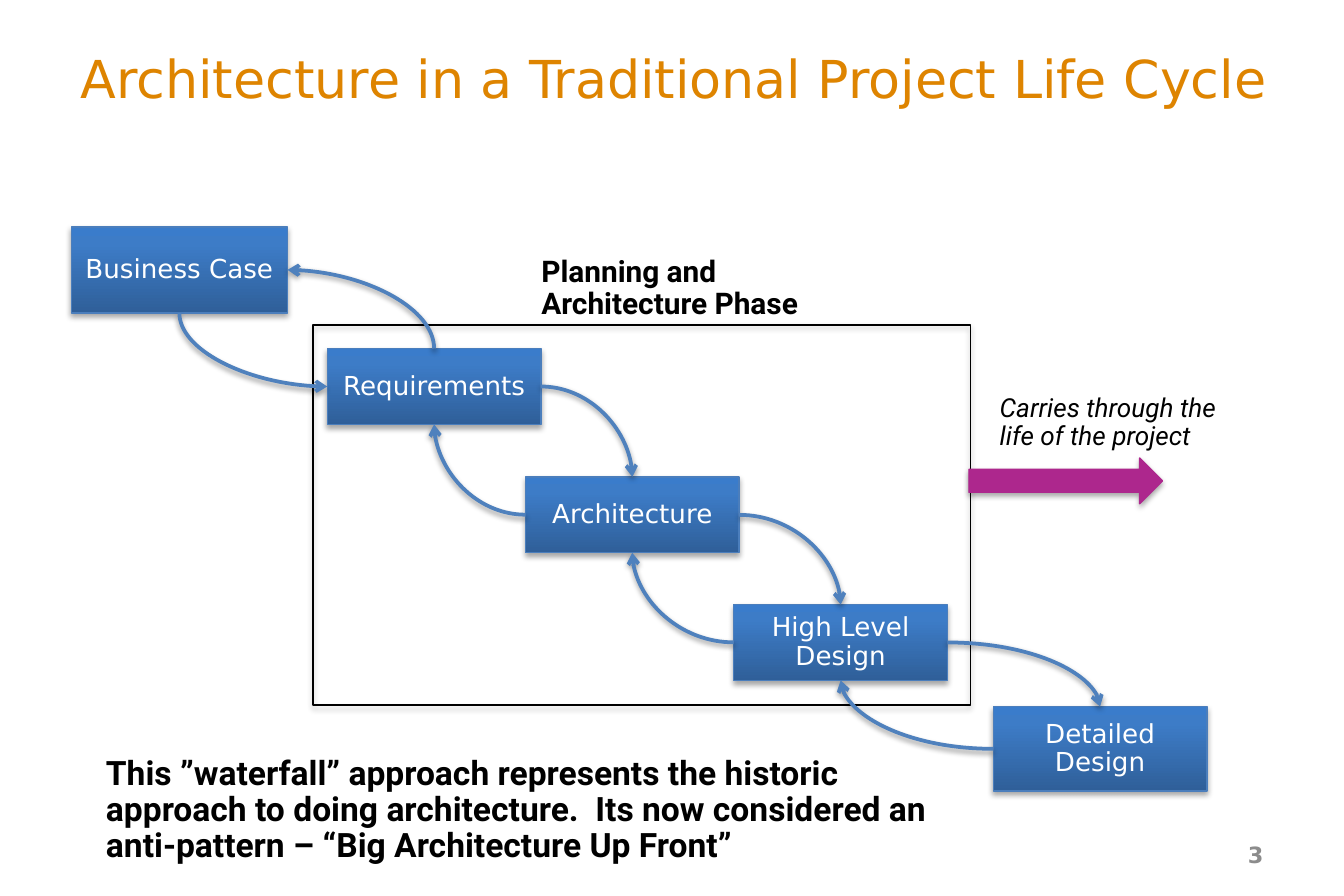
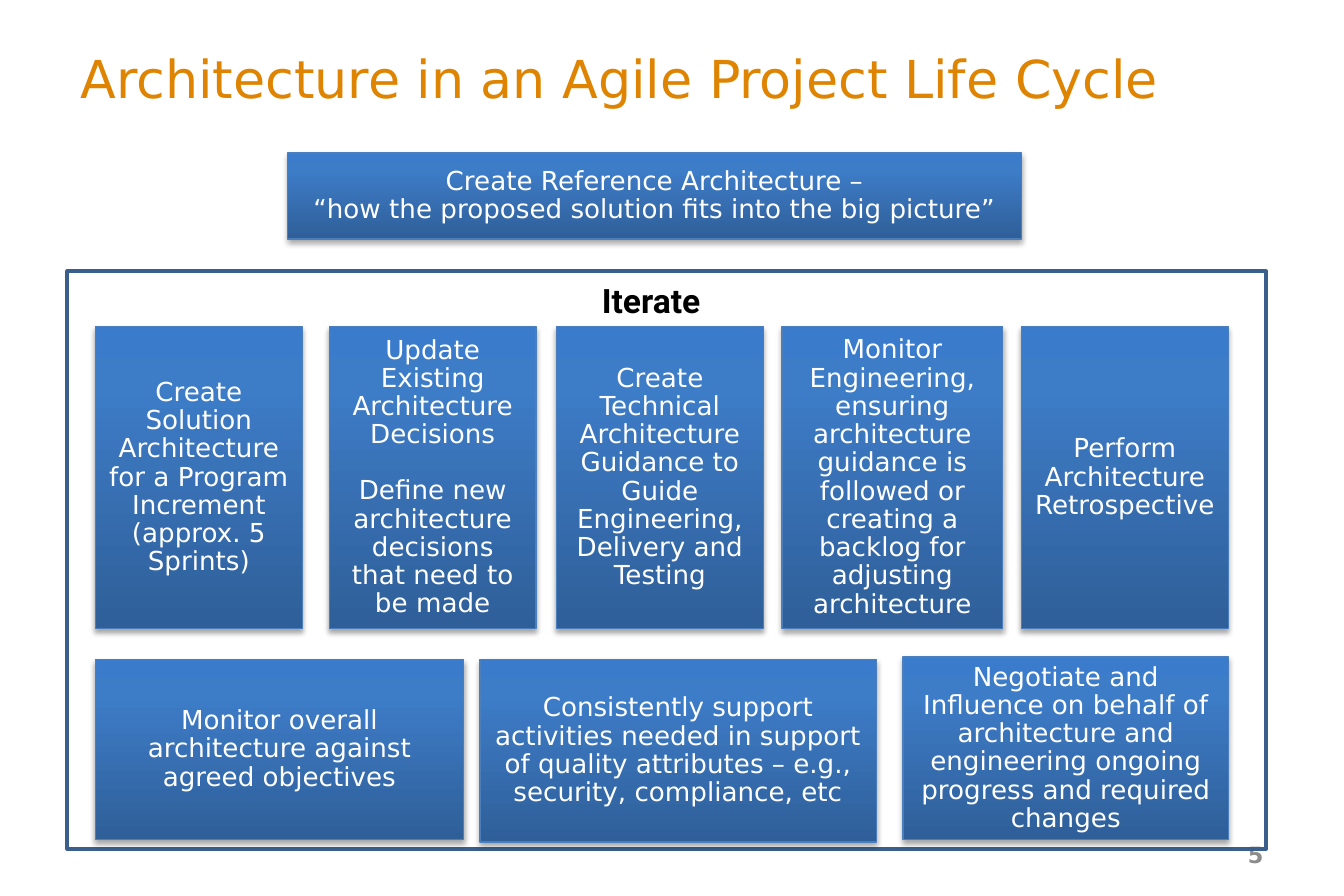
import lxml.etree
import pptx
import pptx.dml.color
import pptx.enum.shapes
import pptx.enum.text
import pptx.oxml.ns
import pptx.util

SHAPE = pptx.enum.shapes.MSO_SHAPE
ALIGN = pptx.enum.text.PP_ALIGN
MIDDLE = pptx.enum.text.MSO_ANCHOR.MIDDLE
FIT = pptx.enum.text.MSO_AUTO_SIZE
TOP, LEFT, BOTTOM, RIGHT = range(4)

CELL = pptx.util.Inches(0.1)
SANS, ROBOTO = "DejaVu Sans", "Roboto"
ORANGE, BLACK, WHITE, GRAY = "DE8400", "000000", "FFFFFF", "8C8C8C"
EDGE, ARROW, FRAME, MAGENTA = "4B7EBC", "4F81BD", "3A5F8C", "AD278D"
GRADIENT = [(0, "2F5F99"), (80, "3D7CC7"), (100, "3A7CCB")]


def color(value):
    return pptx.dml.color.RGBColor.from_string(value)


def cells(*values):
    return [round(v * CELL) for v in values]


def sub(parent, tag, **attrs):
    return lxml.etree.SubElement(
        parent, pptx.oxml.ns.qn(tag), {k: str(v) for k, v in attrs.items()})


def set_line(line, value, width):
    line.color.rgb = color(value)
    line.width = pptx.util.Pt(width)


def add_shadow(sp, distance, alpha):
    effects = sub(sp._element.spPr, "a:effectLst")
    outer = sub(effects, "a:outerShdw", blurRad=pptx.util.Pt(3.1),
                dist=pptx.util.Pt(distance), dir=5400000, rotWithShape=0)
    sub(sub(outer, "a:srgbClr", val=BLACK), "a:alpha", val=alpha * 1000)


def write(tf, paragraphs, size, value, font=SANS, bold=None, italic=None,
          align=None, spacing=0.9):
    for i, text in enumerate(paragraphs):
        p = tf.add_paragraph() if i else tf.paragraphs[0]
        p.alignment = align
        p.line_spacing = spacing
        if i:
            p.space_before = pptx.util.Pt(size + 1)
        for j, line in enumerate(text.split("\n")):
            if j:
                p.add_line_break()
            r = p.add_run()
            r.text = line
            r.font.size = pptx.util.Pt(size)
            r.font.name = font
            r.font.bold = bold
            r.font.italic = italic
            r.font.color.rgb = color(value)


def add_slide(prs, title, number):
    slide = prs.slides.add_slide(prs.slide_layouts[5])
    sp = slide.shapes.title
    sp.left, sp.top, sp.width, sp.height = cells(5, 2.4, 93.8, 6.7)
    tf = sp.text_frame
    tf.vertical_anchor = MIDDLE
    tf.auto_size = FIT.NONE
    write(tf, [title], 28, ORANGE, align=ALIGN.LEFT, spacing=1.0)
    tf = slide.shapes.add_textbox(*cells(71.7, 61.8, 23.3, 3.6)).text_frame
    tf.word_wrap = True
    tf.vertical_anchor = MIDDLE
    write(tf, [str(number)], 12, GRAY, bold=True, align=ALIGN.RIGHT, spacing=1.0)
    return slide


def add_note(slide, at, text, size, wrap=True, **style):
    tf = slide.shapes.add_textbox(*cells(*at)).text_frame
    tf.word_wrap = wrap
    tf.auto_size = FIT.SHAPE_TO_FIT_TEXT
    write(tf, [text], size, BLACK, ROBOTO, **style)


def add_box(slide, at, *paragraphs):
    sp = slide.shapes.add_shape(SHAPE.RECTANGLE, *cells(*at))
    sp.fill.gradient()
    sp.fill.gradient_angle = 90
    stops = sp._element.spPr.find(".//" + pptx.oxml.ns.qn("a:gsLst"))
    stops.clear()
    for position, value in GRADIENT:
        sub(sub(stops, "a:gs", pos=position * 1000), "a:srgbClr", val=value)
    set_line(sp.line, EDGE, 0.75)
    add_shadow(sp, 1.8, 35)
    tf = sp.text_frame
    tf.word_wrap = True
    tf.vertical_anchor = MIDDLE
    write(tf, paragraphs, 14, WHITE, align=ALIGN.CENTER)
    return sp


def add_frame(slide, at, value, width):
    sp = slide.shapes.add_shape(SHAPE.RECTANGLE, *cells(*at))
    sp.fill.background()
    set_line(sp.line, value, width)
    return sp


def add_curve(slide, start, start_side, end, end_side):
    kind = pptx.enum.shapes.MSO_CONNECTOR.CURVE
    cxn = slide.shapes.add_connector(kind, 0, 0, 0, 0)
    cxn.begin_connect(start, start_side)
    cxn.end_connect(end, end_side)
    spPr = cxn._element.spPr
    spPr.find(pptx.oxml.ns.qn("a:prstGeom")).set("prst", "curvedConnector2")
    if start_side in (TOP, BOTTOM):
        w, h = cxn.width, cxn.height
        cxn.left += (w - h) // 2
        cxn.top += (h - w) // 2
        cxn.width, cxn.height = h, w
        xfrm = spPr.find(pptx.oxml.ns.qn("a:xfrm"))
        xfrm.set("rot", "16200000")
        xfrm.set("flipH", "0" if xfrm.get("flipH") == "1" else "1")
    set_line(cxn.line, ARROW, 2)
    sub(cxn.line._get_or_add_ln(), "a:tailEnd", type="arrow")
    add_shadow(cxn, 1.6, 38)


def build_traditional(prs):
    slide = add_slide(prs, "Architecture in a Traditional Project Life Cycle", 3)
    add_shadow(add_frame(slide, (23.3, 24.2, 48.9, 28.3), BLACK, 0.75), 1.8, 35)
    stages = [add_box(slide, at, text) for at, text in [
        ((5.3, 16.9, 16.1, 6.4), "Business Case"),
        ((24.35, 25.95, 15.9, 5.65), "Requirements"),
        ((39.1, 35.5, 15.9, 5.65), "Architecture"),
        ((54.6, 45, 15.9, 5.65), "High Level Design"),
        ((73.9, 52.6, 15.9, 6.3), "Detailed Design"),
    ]]
    sp = slide.shapes.add_shape(SHAPE.RIGHT_ARROW, *cells(72.1, 34.1, 14.4, 3.4))
    sp.fill.solid()
    sp.fill.fore_color.rgb = color(MAGENTA)
    set_line(sp.line, MAGENTA, 0.75)
    add_shadow(sp, 1.8, 35)

    business, requirements = stages[:2]
    add_curve(slide, business, BOTTOM, requirements, LEFT)
    add_curve(slide, requirements, TOP, business, RIGHT)
    for earlier, later in zip(stages[1:], stages[2:]):
        add_curve(slide, earlier, RIGHT, later, TOP)
        add_curve(slide, later, LEFT, earlier, BOTTOM)

    add_note(slide, (39.3, 18.6, 25.1, 5.9),
             "Planning and Architecture Phase", 16, bold=True)
    add_note(slide, (73.4, 28.9, 20.7, 5.3),
             "Carries through the life of the project", 14, italic=True)
    add_note(slide, (6.9, 55.8, 67.8, 9.2),
             "This ”waterfall” approach represents the historic\n"
             "approach to doing architecture.  Its now considered an\n"
             "anti-pattern – “Big Architecture Up Front”",
             18, wrap=False, bold=True)


def build_agile(prs):
    slide = add_slide(prs, "Architecture in an Agile Project Life Cycle", 5)
    add_box(slide, (21.4, 11.4, 54.6, 6.4),
            "Create Reference Architecture –\n"
            "“how the proposed solution fits into the big picture”")
    add_frame(slide, (5, 20.2, 89.2, 43), FRAME, 2).shadow.inherit = False
    add_note(slide, (43.8, 20.7, 9.6, 3.8), "Iterate", 18, wrap=False, bold=True)

    steps = [
        (7.1, 15.4, ["Create Solution Architecture for a Program Increment\n"
                     "(approx. 5 Sprints)"]),
        (24.5, 15.4, ["Update Existing Architecture Decisions",
                      "Define new architecture decisions that need to be made"]),
        (41.4, 15.4, ["Create Technical Architecture Guidance to Guide "
                      "Engineering, Delivery and Testing"]),
        (58.2, 16.4, ["Monitor Engineering, ensuring architecture guidance is "
                      "followed or creating a backlog for adjusting architecture"]),
        (76, 15.4, ["Perform Architecture Retrospective"]),
    ]
    for left, width, paragraphs in steps:
        add_box(slide, (left, 24.3, width, 22.5), *paragraphs)

    ongoing = [
        ((7.1, 49.1, 27.4, 13.4),
         "Monitor overall architecture against agreed objectives"),
        ((35.7, 49.1, 29.5, 13.6),
         "Consistently support activities needed in support of quality "
         "attributes – e.g., security, compliance, etc"),
        ((67.2, 48.9, 24.2, 13.6),
         "Negotiate and Influence on behalf of architecture and engineering "
         "ongoing progress and required changes"),
    ]
    for at, text in ongoing:
        add_box(slide, at, text)


def main():
    prs = pptx.Presentation()
    prs.slide_width, prs.slide_height = cells(100, 66.7)
    build_traditional(prs)
    build_agile(prs)
    prs.save("out.pptx")


if __name__ == "__main__":
    main()
